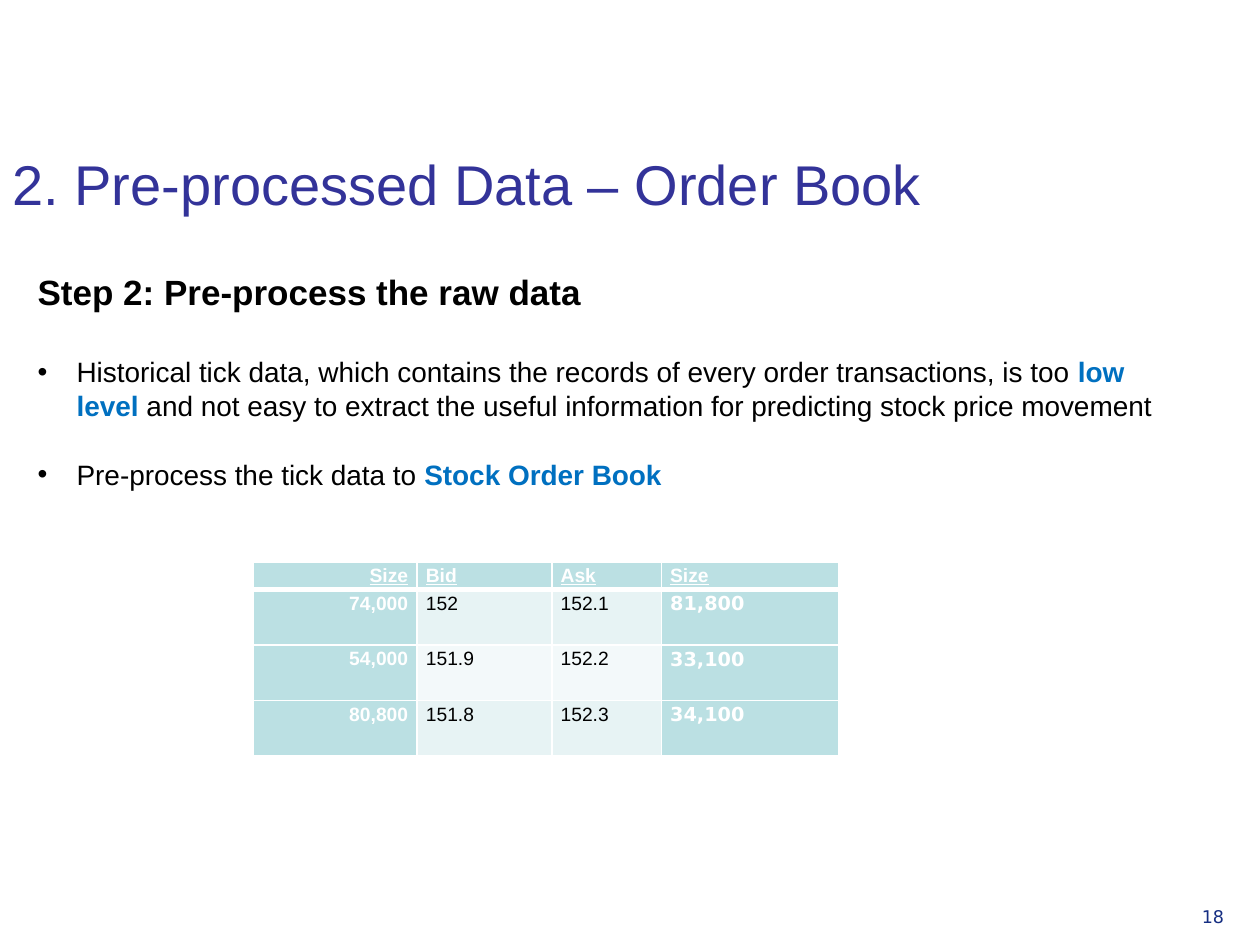
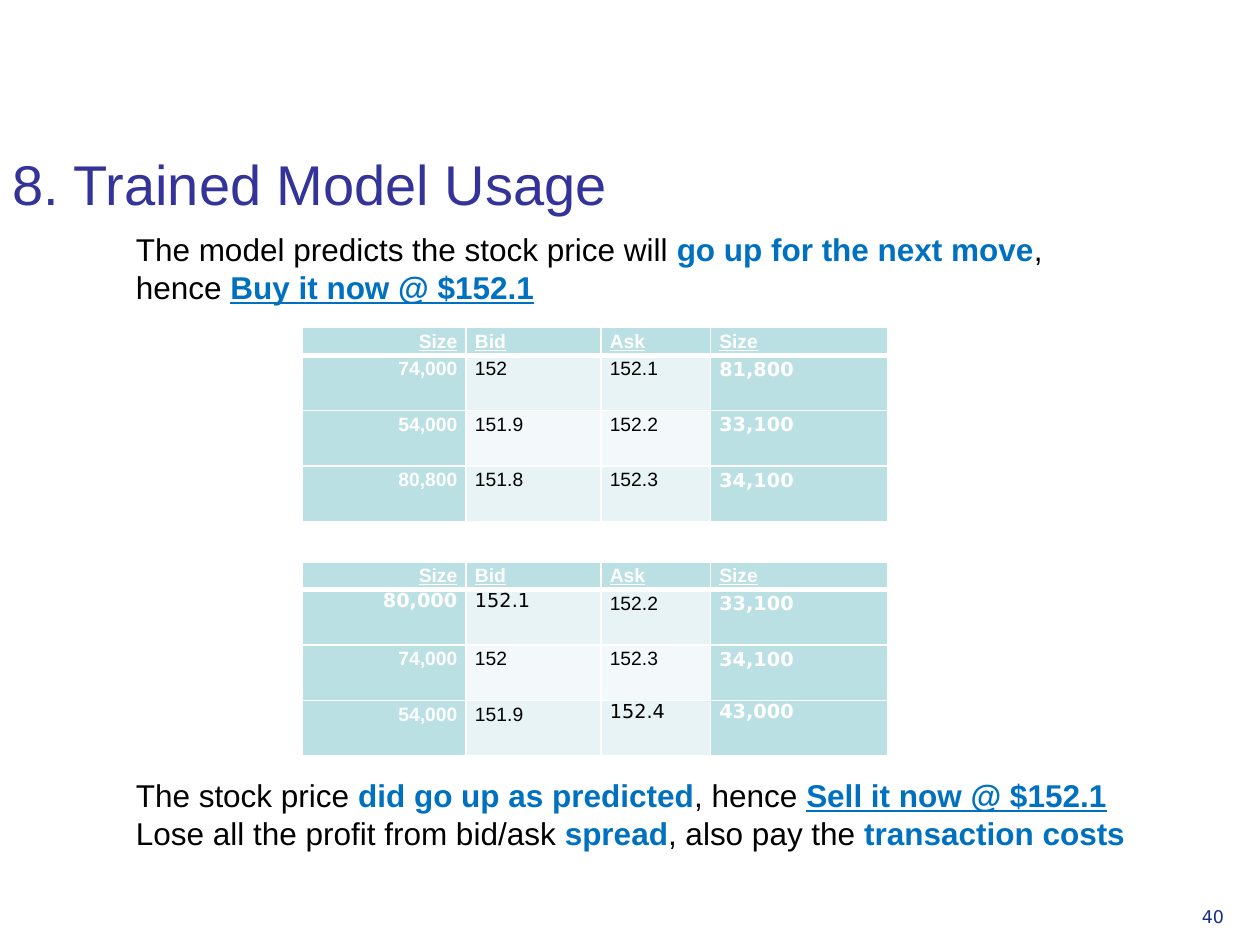
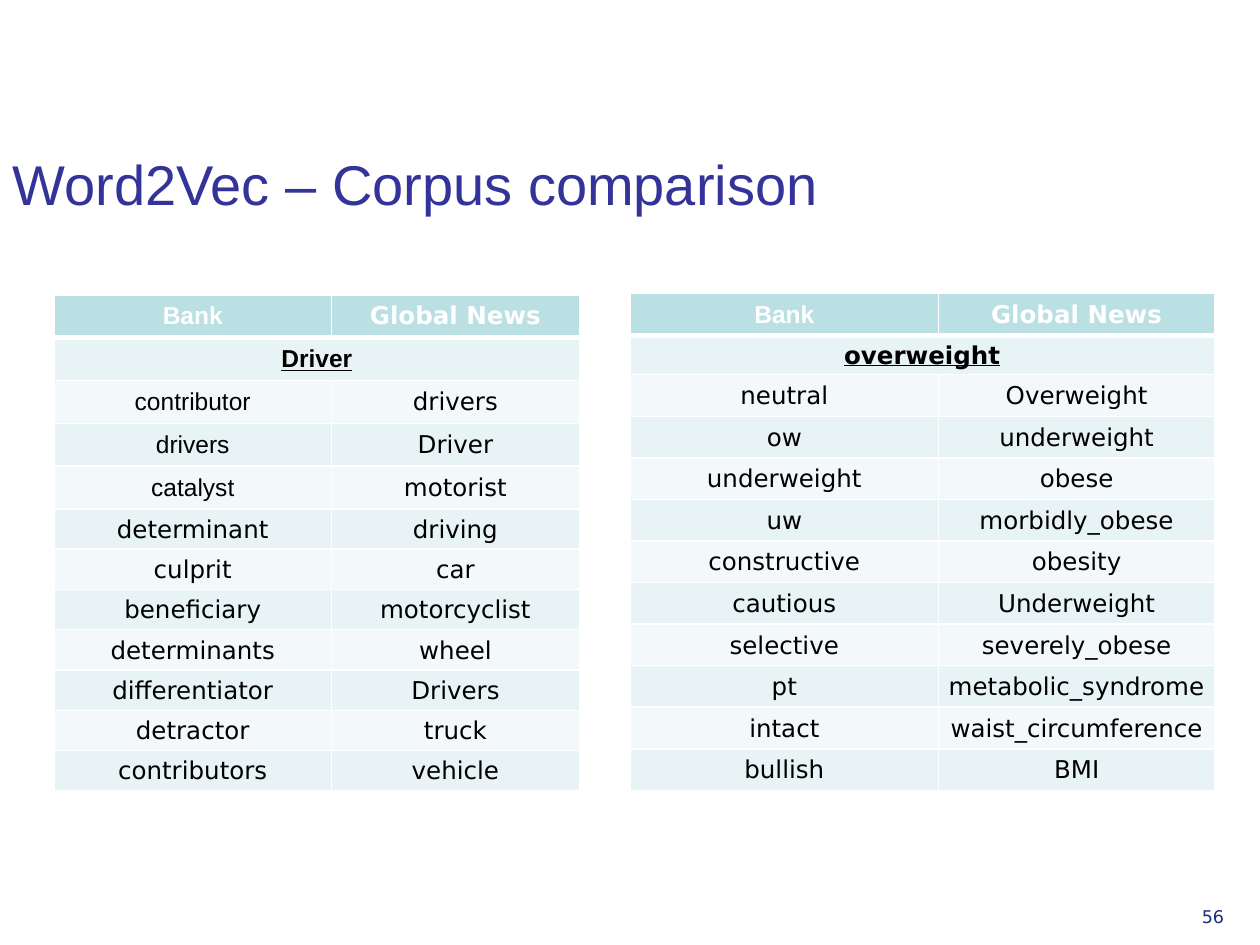
"""Build three slides on order books and word vectors."""
from dataclasses import dataclass
from typing import Any, NamedTuple

from lxml.etree import SubElement
from pptx import Presentation
from pptx.dml.color import RGBColor
from pptx.enum.text import MSO_ANCHOR, PP_ALIGN
from pptx.oxml.ns import qn
from pptx.util import Pt

PX = 9144
HUES = {
    "title": "333399", "page": "152E82", "text": "000000", "key": "0070C0",
    "head": "BBE0E3", "odd": "E7F3F4", "even": "F3F9FA", "white": "FFFFFF",
}
ARIAL, DEJAVU = "Arial", "DejaVu Sans"


class Box(NamedTuple):
    """Place in px."""
    left: int
    top: int
    width: int
    height: int


class Run(NamedTuple):
    """Text with one look."""
    text: str
    size: int
    hue: str = "text"
    bold: bool = False
    under: bool = False
    font: str = ARIAL


class Para(NamedTuple):
    """Runs of one paragraph."""
    runs: list[Run]
    gap: int = 0
    bullet: bool = False


class Cell(NamedTuple):
    """One table cell."""
    run: Run
    fill: str
    align: PP_ALIGN
    pads: tuple[int, int, int, int]
    mid: bool = False
    lead: float = 1.0


@dataclass
class Book:
    """Order book; fresh holds the (row, column) of new quotes."""
    left: int
    top: int
    rows: list[list[str]]
    fresh: frozenset[tuple[int, int]] = frozenset()


@dataclass
class Lexicon:
    """Neighbours of one word; plain counts the Arial rows at left."""
    left: int
    top: int
    cols: list[int]
    highs: list[int]
    word: str
    pairs: list[tuple[str, str]]
    plain: int


def put_run(para: Any, run: Run) -> None:
    """Add a run to a paragraph."""
    part = para.add_run()
    part.text = run.text
    font = part.font
    font.name, font.size = run.font, Pt(run.size)
    font.bold, font.underline = run.bold, run.under
    font.color.rgb = RGBColor.from_string(HUES[run.hue])


def put_text(slide: Any, box: Box, paras: list[Para], low: bool = False) -> None:
    """Draw a text box."""
    frame = slide.shapes.add_textbox(*(n * PX for n in box)).text_frame
    frame.word_wrap = True
    frame.vertical_anchor = MSO_ANCHOR.BOTTOM if low else MSO_ANCHOR.TOP
    for i, item in enumerate(paras):
        para = frame.add_paragraph() if i else frame.paragraphs[0]
        if item.bullet:
            props = para._p.get_or_add_pPr()
            props.set("marL", str(31 * PX))
            props.set("indent", str(-31 * PX))
            SubElement(props, qn("a:buFont")).set("typeface", ARIAL)
            SubElement(props, qn("a:buChar")).set("char", "•")
        if item.gap:
            para.space_before = Pt(item.gap)
        for run in item.runs:
            put_run(para, run)


def put_edge(cell: Any, side: str, width: int) -> None:
    """Draw one white cell border."""
    line = SubElement(cell._tc.get_or_add_tcPr(), qn(f"a:ln{side}"))
    line.set("w", str(Pt(width)))
    fill = SubElement(line, qn("a:solidFill"))
    SubElement(fill, qn("a:srgbClr")).set("val", HUES["white"])


def put_cell(cell: Any, data: Cell, row: int) -> None:
    """Fill and style one cell."""
    thick = {"T": 3 if row == 1 else 1, "B": 3 if row == 0 else 1}
    for side in "LRTB":
        put_edge(cell, side, thick.get(side, 1))
    cell.fill.solid()
    cell.fill.fore_color.rgb = RGBColor.from_string(HUES[data.fill])
    cell.margin_left, cell.margin_top, cell.margin_right, cell.margin_bottom = (
        n * PX for n in data.pads)
    cell.vertical_anchor = MSO_ANCHOR.MIDDLE if data.mid else MSO_ANCHOR.TOP
    para = cell.text_frame.paragraphs[0]
    para.alignment = data.align
    para.line_spacing = data.lead
    if data.run.text:
        put_run(para, data.run)


def put_grid(slide: Any, left: int, top: int, cols: list[int],
             highs: list[int], cells: list[list[Cell]]) -> Any:
    """Draw a table and return it."""
    box = Box(left, top, sum(cols), sum(highs))
    grid = slide.shapes.add_table(
        len(highs), len(cols), *(n * PX for n in box)).table
    grid.first_row = grid.horz_banding = False
    for col, width in zip(grid.columns, cols):
        col.width = width * PX
    for row, high in zip(grid.rows, highs):
        row.height = high * PX
    for r, line in enumerate(cells):
        for c, data in enumerate(line):
            put_cell(grid.cell(r, c), data, r)
    return grid


def band(row: int) -> str:
    """Name the fill of a row."""
    return "head" if row == 0 else "odd" if row % 2 else "even"


def put_book(slide: Any, book: Book) -> None:
    """Draw an order book."""
    def make(r: int, c: int, text: str) -> Cell:
        """Style one quote."""
        fresh, side = (r, c) in book.fresh, c in (0, 3)
        strong = r == 0 or side
        font = DEJAVU if fresh or (r and c == 3) else ARIAL
        run = Run(text, 11, "white" if strong else "text", strong, r == 0, font)
        return Cell(run, "head" if side else band(r),
                    PP_ALIGN.LEFT if c else PP_ALIGN.RIGHT,
                    (7, 0, 7, 0), lead=1.0 if fresh else 1.15)

    rows = [["Size", "Bid", "Ask", "Size"], *book.rows]
    cells = [[make(r, c, text) for c, text in enumerate(row)]
             for r, row in enumerate(rows)]
    put_grid(slide, book.left, book.top, [130, 107, 87, 141],
             [22, 44, 44, 44], cells)


def put_words(slide: Any, lex: Lexicon) -> None:
    """Draw the neighbours of a word in two corpora."""
    def make(r: int, c: int, text: str) -> Cell:
        """Style one word."""
        plain = c == 0 and r < lex.plain
        run = Run(text, 14, "text" if r else "white", r < 2, r == 1,
                  ARIAL if plain else DEJAVU)
        pads = (10, 5, 10, 5) if plain or r == 0 else (1, 1, 1, 0)
        return Cell(run, band(r), PP_ALIGN.CENTER, pads, True)

    rows = [("Bank", "Global News"), (lex.word, ""), *lex.pairs]
    cells = [[make(r, c, text) for c, text in enumerate(row)]
             for r, row in enumerate(rows)]
    grid = put_grid(slide, lex.left, lex.top, lex.cols, lex.highs, cells)
    grid.cell(1, 0).merge(grid.cell(1, 1))


def new_slide(deck: Any, title: str, page: int) -> Any:
    """Add a slide with its title and page number."""
    slide = deck.slides.add_slide(deck.slide_layouts[6])
    put_text(slide, Box(944, 714, 55, 39),
             [Para([Run(str(page), 10, "page", font=DEJAVU)])])
    put_text(slide, Box(0, 68, 883, 109),
             [Para([Run(title, 32, "title")])], low=True)
    return slide


def key(text: str, size: int, under: bool = False) -> Run:
    """Make a bold blue run."""
    return Run(text, size, "key", True, under)


QUOTES = [
    ["74,000", "152", "152.1", "81,800"],
    ["54,000", "151.9", "152.2", "33,100"],
    ["80,800", "151.8", "152.3", "34,100"],
]
MOVED = [
    ["80,000", "152.1", "152.2", "33,100"],
    ["74,000", "152", "152.3", "34,100"],
    ["54,000", "151.9", "152.4", "43,000"],
]
DRIVER = [
    ("contributor", "drivers"), ("drivers", "Driver"),
    ("catalyst", "motorist"), ("determinant", "driving"),
    ("culprit", "car"), ("beneficiary", "motorcyclist"),
    ("determinants", "wheel"), ("differentiator", "Drivers"),
    ("detractor", "truck"), ("contributors", "vehicle"),
]
WEIGHT = [
    ("neutral", "Overweight"), ("ow", "underweight"),
    ("underweight", "obese"), ("uw", "morbidly_obese"),
    ("constructive", "obesity"), ("cautious", "Underweight"),
    ("selective", "severely_obese"), ("pt", "metabolic_syndrome"),
    ("intact", "waist_circumference"), ("bullish", "BMI"),
]


def main() -> None:
    """Build and save the deck."""
    deck = Presentation()
    deck.slide_width, deck.slide_height = 1000 * PX, 750 * PX

    slide = new_slide(deck, "2. Pre-processed Data – Order Book", 18)
    put_text(slide, Box(20, 210, 937, 212), [
        Para([Run("Step 2: Pre-process the raw data", 20, bold=True)]),
        Para([
            Run("Historical tick data, which contains the records of every "
                "order transactions, is too ", 16),
            key("low level ", 16),
            Run("and not easy to extract the useful information for "
                "predicting stock price movement", 16),
        ], 24, True),
        Para([Run("Pre-process the tick data to ", 16),
              key("Stock Order Book", 16)], 20, True),
    ])
    put_book(slide, Book(201, 446, QUOTES))

    slide = new_slide(deck, "8. Trained Model Usage", 40)
    put_book(slide, Book(240, 260, QUOTES))
    put_book(slide, Book(240, 446, MOVED,
                         frozenset({(1, 0), (1, 1), (3, 2), (3, 3)})))
    put_text(slide, Box(98, 178, 780, 71), [Para([
        Run("The model predicts the stock price will ", 18),
        key("go up for the next move", 18), Run(", hence ", 18),
        key("Buy it now @ $152.1", 18, True),
    ])])
    put_text(slide, Box(98, 611, 827, 71), [
        Para([Run("The stock price ", 18), key("did go up as predicted", 18),
              Run(", hence ", 18), key("Sell it now @ $152.1", 18, True)]),
        Para([Run("Lose all the profit from bid/ask ", 18), key("spread", 18),
              Run(", also pay the ", 18), key("transaction costs", 18)]),
    ])

    slide = new_slide(deck, "Word2Vec – Corpus comparison", 56)
    put_words(slide, Lexicon(43, 234, [220, 197], [34] * 5 + [32] * 7,
                             "Driver", DRIVER, 5))
    put_words(slide, Lexicon(500, 233, [245, 219], [33, 31] + [33] * 10,
                             "overweight", WEIGHT, 1))
    deck.save("out.pptx")


if __name__ == "__main__":
    main()
